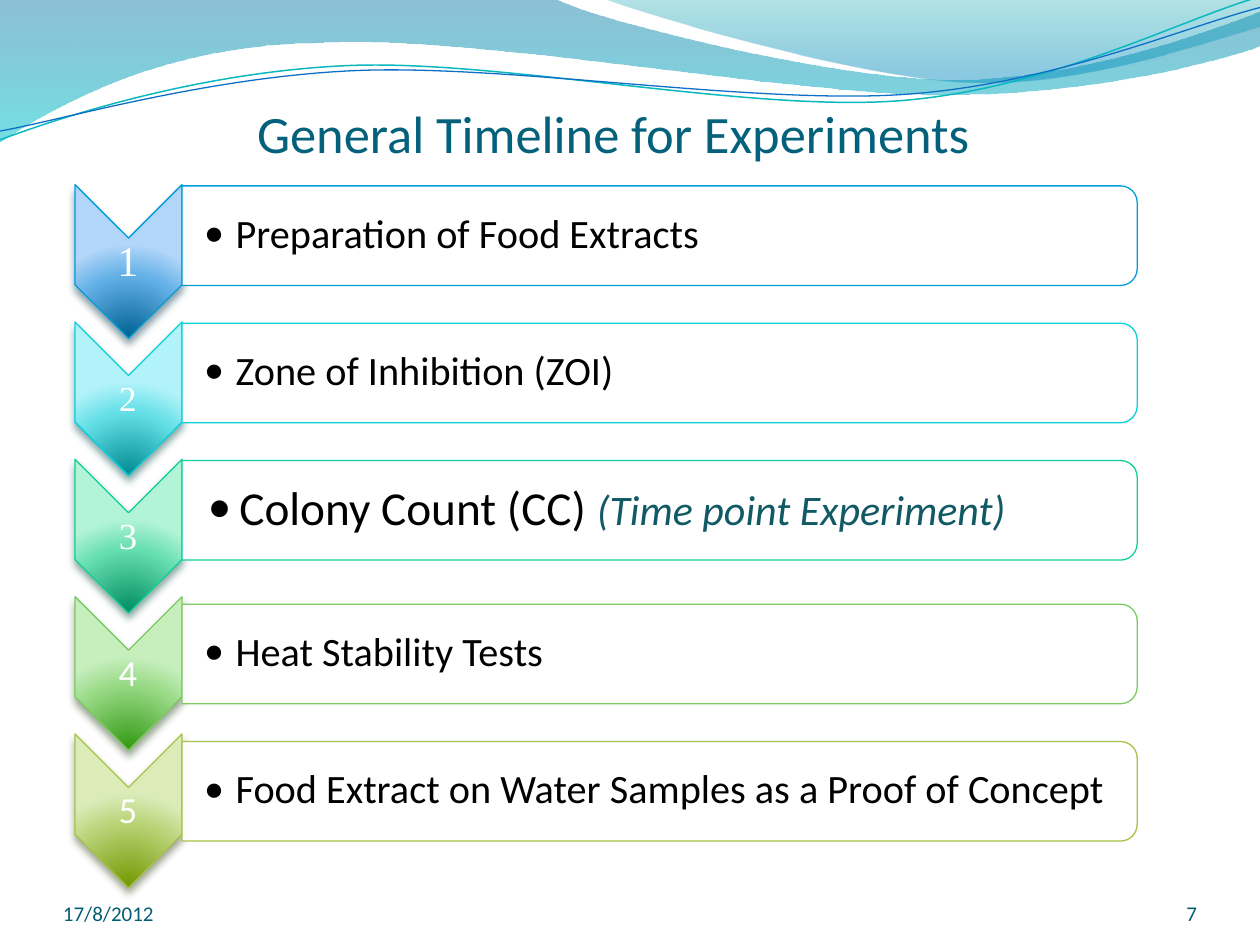
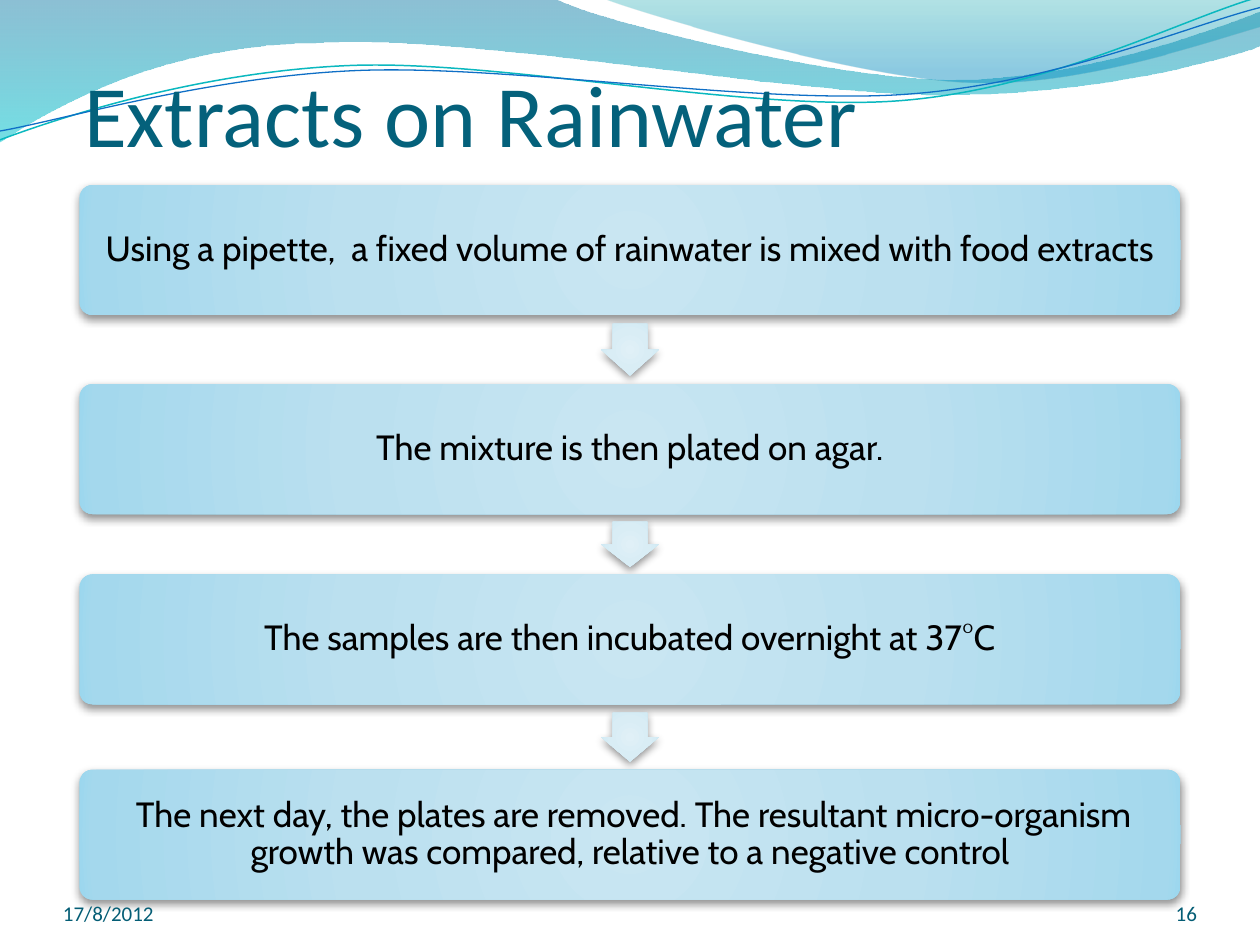
import math

import pptx
import pptx.dml.color
import pptx.enum.shapes
import pptx.enum.text
import pptx.oxml
import pptx.oxml.ns
import pptx.util

Inches = pptx.util.Inches
Pt = pptx.util.Pt
RGB = pptx.dml.color.RGBColor.from_string
KIND = pptx.enum.shapes.MSO_SHAPE
ALIGN = pptx.enum.text.PP_ALIGN
ANCHOR = pptx.enum.text.MSO_ANCHOR
NS = pptx.oxml.ns.nsdecls("a")
qn = pptx.oxml.ns.qn

COLORS = {
    "title": "04617B", "foot": "045D75", "note": "115964",
    "black": "000000", "white": "FFFFFF", "teal": "0AB8BF", "blue": "0F6FC6",
}
BODY = "Calibri"


def paint(shape, stops=None, focus=None, line=None, width=0.75, shade=None):
    shape.shadow.inherit = False
    if stops:
        shape.fill.solid()
        tints = [f'<a:srgbClr val="{tint}"><a:alpha val="{alpha * 1000}"/></a:srgbClr>'
                 for _, tint, alpha in stops]
        marks = "".join(f'<a:gs pos="{stop[0] * 1000}">{tint}</a:gs>'
                        for stop, tint in zip(stops, tints))
        way = '<a:lin ang="5400000" scaled="0"/>'
        if focus:
            way = (f'<a:path path="circle"><a:fillToRect l="50000" t="{focus * 1000}" '
                   f'r="50000" b="{(100 - focus) * 1000}"/></a:path>')
        fill = f'<a:gradFill {NS} rotWithShape="0"><a:gsLst>{marks}</a:gsLst>{way}</a:gradFill>'
        if len(stops) == 1:
            fill = f'<a:solidFill {NS}>{tints[0]}</a:solidFill>'
        props = shape._element.spPr
        props.replace(props.find(qn("a:solidFill")), pptx.oxml.parse_xml(fill))
    else:
        shape.fill.background()
    if line:
        shape.line.color.rgb = RGB(line)
        shape.line.width = Pt(width)
    else:
        shape.line.fill.background()
    if shade:
        tint, alpha, blur, dist = shade
        glow = pptx.oxml.parse_xml(
            f'<a:outerShdw {NS} blurRad="{Pt(blur)}" dist="{Pt(dist)}" dir="5400000" '
            f'rotWithShape="0"><a:srgbClr val="{tint}"><a:alpha val="{alpha * 1000}"/>'
            f'</a:srgbClr></a:outerShdw>')
        shape._element.spPr.find(qn("a:effectLst")).append(glow)


def write(shape, text, size, tint, font=BODY, align=ALIGN.LEFT,
          anchor=ANCHOR.MIDDLE, pads=(0, 0, 0, 0), space=None):
    frame = shape.text_frame
    frame.word_wrap = True
    frame.auto_size = pptx.enum.text.MSO_AUTO_SIZE.NONE
    frame.vertical_anchor = anchor
    frame.margin_left, frame.margin_top, frame.margin_right, frame.margin_bottom = map(Inches, pads)
    para = frame.paragraphs[0]
    para.add_run().text = text
    para.alignment = align
    if space:
        para.line_spacing = space
    para.font.name = font
    para.font.size = Pt(size)
    para.font.color.rgb = RGB(tint)
    return para


WAVES = [
    ([(0, -0.01), (4.4, -0.01), (4.76, 0.17, 6.64, 0.63, 7.58, 0.63),
      (8.53, 0.63, 9.58, 0.26, 10, 0.09), (10.01, 0.36),
      (9.83, 0.44, 8.7, 0.76, 7.46, 0.75), (6.22, 0.75, 3.82, 0.28, 2.57, 0.34),
      (1.29, 0.35, 0.46, 0.83, -0.01, 1.13)],
     0, {"stops": [(0, "0074A1", 45), (100, "00C6CF", 55)]}),
    ([(4.79, -0.01), (5.09, 0.11, 6.82, 0.62, 7.69, 0.65),
      (8.56, 0.69, 9.61, 0.32, 10, 0.21), (10, 0)],
     0, {"stops": [(0, "00A1A9", 30), (80, "008BBF", 45)]}),
    ([(0, 1.11), (0.48, 0.93, 1.58, 0.57, 2.77, 0.52),
      (3.95, 0.47, 5.93, 0.89, 7.13, 0.8), (8.33, 0.71, 9.38, 0.15, 9.98, -0.02)],
     2.7, {"line": COLORS["teal"], "width": 0.85}),
    ([(0, 1.04), (0.47, 0.96, 1.64, 0.61, 2.83, 0.56),
      (4.03, 0.51, 5.97, 0.83, 7.17, 0.75), (8.36, 0.67, 9.41, 0.21, 10, 0.06)],
     2.7, {"line": COLORS["blue"]}),
]

deck = pptx.Presentation()
deck.slide_width = Inches(10)
deck.slide_height = Inches(7.5)
layout = deck.slide_layouts[5]

PAGES = [
    ("General Timeline for Experiments", 30, (2.04, 0.05, 7.68, 1.25), "7"),
    (" Extracts on Rainwater", 50, (0.51, 0.33, 8.79, 0.98), "16"),
]
slides = []
for text, size, box, number in PAGES:
    slide = deck.slides.add_slide(layout)
    slides.append(slide)
    title = slide.shapes.title
    title.left, title.top, title.width, title.height = map(Inches, box)
    write(title, text, size, COLORS["title"], anchor=ANCHOR.BOTTOM, pads=(0, 0.05, 0, 0))
plan, flow = slides

for spot, (steps, tilt, look) in enumerate(WAVES):
    sin, cos = math.sin(math.radians(tilt)), math.cos(math.radians(tilt))
    dots = []
    for step in steps:
        for x, y in zip(step[::2], step[1::2]):
            if tilt:
                x, y = x - 4.99, y - 0.58
                x, y = 4.99 + x * cos - y * sin, 0.58 + x * sin + y * cos
            dots.append((Inches(x), Inches(y)))
    pen = plan.shapes.build_freeform(*dots[0])
    pen.add_line_segments(dots[1:], close="stops" in look)
    wave = pen.convert_to_shape()
    lines = wave._element.findall(".//" + qn("a:lnTo"))
    for step in steps[1:]:
        group, lines = lines[:len(step) // 2], lines[len(step) // 2:]
        if len(group) == 3:
            curve = pptx.oxml.parse_xml(f"<a:cubicBezTo {NS}/>")
            group[0].addprevious(curve)
            for line in group:
                curve.append(line[0])
                line.getparent().remove(line)
    wave.rotation = -tilt
    paint(wave, **look)
    deck.slide_master.shapes._spTree.insert(2 + spot, wave._element)

STAGES = [
    ("Preparation of Food Extracts", 24, "Times New Roman", "009DD9",
     ("006091", "64B1E7", "B1D6F9"), "00374C"),
    ("Zone of Inhibition (ZOI)", 20, "Times New Roman", "0BD0D9",
     ("008A91", "64DFE7", "B1F3F9"), "024B4E"),
    ("Colony Count (CC) ", 21, "Times New Roman", "10CF9B",
     ("008C60", "65DEB0", "B2F4D6"), "044A37"),
    ("Heat Stability Tests", 21, BODY, "7CCA62",
     ("319811", "95D882", "C6EFBD"), "2B4821"),
    ("Food Extract on Water Samples as a Proof of Concept", 21, BODY, "A5C249",
     ("729800", "B8D275", "DBECB9"), "3A4519"),
]
for row, (text, size, font, edge, tints, dark) in enumerate(STAGES):
    drop = 1.09 * row
    slip = drop + (0.05 if row > 2 else 0)
    wide = row == 2

    mark = plan.shapes.add_shape(
        KIND.CHEVRON, Inches(0.41), Inches(1.65 + drop), Inches(1.22), Inches(0.85))
    mark.rotation = 90
    paint(mark, [(pos, tint, 100) for pos, tint in zip((0, 68, 100), tints)], 130,
          edge, shade=(dark, 48, 4.5, 3))
    label = plan.shapes.add_textbox(
        Inches(0.59), Inches(1.9 + drop), Inches(0.85), Inches(0.37))
    write(label, str(row + 1), size, COLORS["white"], font, ALIGN.CENTER,
          pads=[0.01] * 4, space=0.9)

    bar = plan.shapes.add_shape(
        KIND.ROUND_2_SAME_RECTANGLE, Inches(4.84), Inches(slip - 1.92), Inches(0.79), Inches(7.58))
    bar.rotation = 90
    paint(bar, [(0, COLORS["white"], 90)], line=edge)
    item = plan.shapes.add_textbox(
        Inches(1.44), Inches(1.51 + slip), Inches(7.54), Inches(0.71))
    para = write(item, text, 27 if wide else 23, COLORS["black"],
                 pads=(0.21 if wide else 0.18, 0.02, 0.02, 0.02), space=0.9)
    para.level = 1
    props = para._p.get_or_add_pPr()
    props.set("marL", str(Inches(0.25)))
    props.set("indent", str(Inches(-0.25)))
    for bit in (f'<a:buFont {NS} typeface="{BODY}"/>', f'<a:buChar {NS} char="•"/>'):
        props.insert_element_before(
            pptx.oxml.parse_xml(bit), "a:tabLst", "a:defRPr", "a:extLst")
    if wide:
        note = para.add_run()
        note.text = "(Time point Experiment)"
        note.font.size = Pt(24)
        note.font.italic = True
        note.font.color.rgb = RGB(COLORS["note"])

STEPS = [
    (1.47, "Using a pipette,  a fixed volume of rainwater is mixed with food extracts"),
    (3.05, "The mixture is then plated on agar."),
    (4.56, "The samples are then incubated overnight at 37°C"),
    (6.11, " The next day, the plates are removed. The resultant micro-organism growth "
           "was compared, relative to a negative control"),
]
TALL = 1.03
SHADE = (COLORS["black"], 43, 5, 2)
PANEL = [(0, "C9E6F2", 100), (50, "BBE0EF", 100), (97, "A4D8ED", 100), (100, "9BD7EE", 100)]
ARROW = [(0, "E0F0F7", 100), (50, "D9EDF5", 100), (97, "CEE8F3", 100), (100, "C9E7F4", 100)]
for row, (top, text) in enumerate(STEPS):
    if row:
        floor = STEPS[row - 1][0] + TALL
        span = 0.75 * (top - floor)
        arrow = flow.shapes.add_shape(
            KIND.RIGHT_ARROW, Inches(5 - span / 2), Inches((floor + top) / 2 - 0.23),
            Inches(span), Inches(0.46))
        arrow.rotation = 90
        arrow.adjustments[0] = 0.6
        paint(arrow, ARROW, 50, shade=SHADE)
    panel = flow.shapes.add_shape(
        KIND.ROUNDED_RECTANGLE, Inches(0.63), Inches(top), Inches(8.74), Inches(TALL))
    panel.adjustments[0] = 0.1
    paint(panel, PANEL, 50, shade=SHADE)
    label = flow.shapes.add_textbox(
        Inches(0.66), Inches(top + 0.03), Inches(8.68), Inches(0.97))
    write(label, text, 20, COLORS["black"], "Cabin", ALIGN.CENTER, pads=[0.08] * 4, space=0.9)

for slide, page in zip(slides, PAGES):
    for text, left, width, align in (("17/8/2012", 0.5, 2.33, ALIGN.LEFT),
                                     (page[3], 8.67, 0.83, ALIGN.RIGHT)):
        foot = slide.shapes.add_textbox(Inches(left), Inches(6.95), Inches(width), Inches(0.4))
        write(foot, text, 12, COLORS["foot"], align=align, anchor=ANCHOR.BOTTOM)

deck.save("out.pptx")
